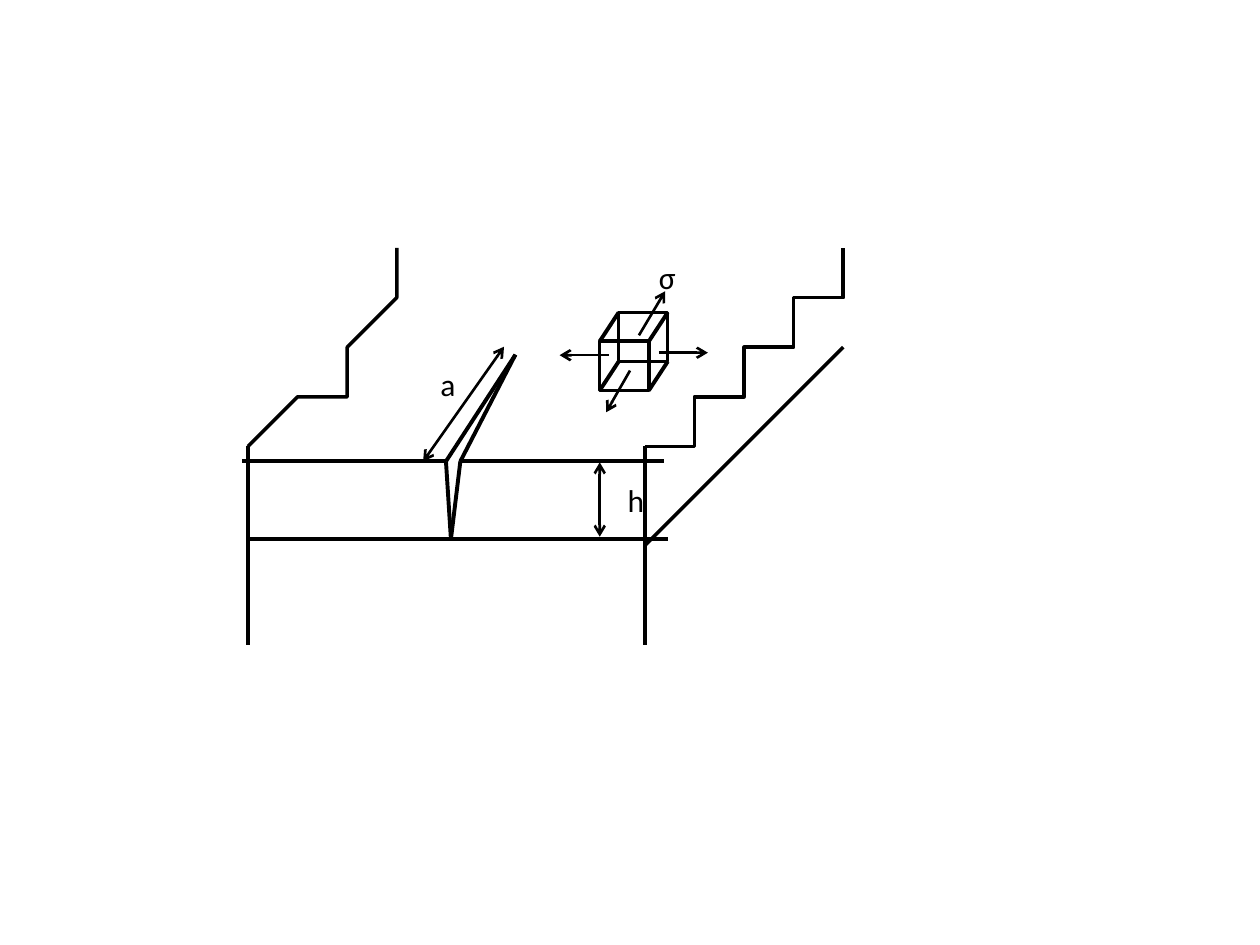
from dataclasses import dataclass

from lxml import etree
from pptx import Presentation
from pptx.dml.color import RGBColor
from pptx.enum.shapes import MSO_CONNECTOR, MSO_SHAPE
from pptx.enum.text import MSO_AUTO_SIZE, PP_ALIGN
from pptx.oxml.ns import qn
from pptx.util import Cm, Pt

STRAIGHT = MSO_CONNECTOR.STRAIGHT
RECTANGLE = MSO_SHAPE.RECTANGLE
CENTER = PP_ALIGN.CENTER
FIT_SHAPE = MSO_AUTO_SIZE.SHAPE_TO_FIT_TEXT
BLANK_LAYOUT = 6


@dataclass(frozen=True)
class Theme:
    """Colours, type and line widths of the slide."""
    ink: RGBColor = RGBColor(0, 0, 0)
    font: str = "Calibri"
    text_size: Pt = Pt(18)
    outline: Pt = Pt(2)
    edge: Pt = Pt(2.25)
    arrow: Pt = Pt(1.5)


THEME = Theme()

# Shared outline of the broken-off receding edges, in percent of width and height
ROUGH_PROFILE = [
    (9, 12), (13, 16), (15, 19), (18, 22), (18, 23), (22, 25), (23, 27),
    (27, 29), (30, 32), (35, 35), (38, 36), (42, 38), (46, 42), (49, 47),
    (51, 50), (54, 56), (57, 58), (60, 60), (65, 64), (70, 68), (74, 70),
    (78, 74), (80, 77), (84, 81), (88, 85), (91, 89), (94, 93), (97, 96),
    (99, 99), (100, 100),
]
ROUGH_HEIGHT = 4.01
# Start x, start y and width of each receding edge, in cm
RECEDING_EDGES = [(4.9, 9.28, 3.52), (13.39, 9.28, 3.33), (13.41, 10.9, 3.53)]

SIDE_EDGES = [
    [(4.9, 9.25), (4.9, 10.06), (4.93, 10.57), (4.98, 10.72), (5.02, 11),
     (5, 11.3), (4.93, 11.68), (4.95, 12.04), (4.9, 12.24), (4.88, 12.42),
     (4.88, 13), (4.85, 13.26)],
    [(13.39, 9.25), (13.41, 10.54), (13.44, 10.87), (13.44, 11.4),
     (13.44, 11.96), (13.39, 12.17), (13.36, 12.37), (13.34, 13),
     (13.32, 13.2), (13.39, 13.26)],
]

FILM_TOP, FILM_BOTTOM = 9.3, 10.87
CRACK_LEFT, CRACK_RIGHT = (8.99, FILM_TOP), (9.28, FILM_TOP)
CRACK_ROOT, CRACK_TIP = (9.09, FILM_BOTTOM), (10.39, 7.15)
FILM_EDGES = [
    ((4.88, FILM_TOP), CRACK_LEFT),
    (CRACK_RIGHT, (13.39, FILM_TOP)),
    ((4.98, FILM_BOTTOM), (13.46, FILM_BOTTOM)),
    (CRACK_ROOT, CRACK_LEFT),
    (CRACK_ROOT, CRACK_RIGHT),
    (CRACK_LEFT, CRACK_TIP),
    (CRACK_RIGHT, CRACK_TIP),
]

CUBE_FRONT, CUBE_BACK, CUBE_SIDE = (12.09, 6.88), (12.47, 6.3), 0.99

DIMENSIONS = [((8.53, 9.3), (10.16, 6.99)), ((12.09, 9.32), (12.09, 10.82))]
STRESSES = [
    ((13.28, 7.11), (14.27, 7.11)),
    ((12.27, 7.16), (11.28, 7.16)),
    ((12.88, 6.76), (13.41, 5.87)),
    ((12.7, 7.47), (12.22, 8.31)),
]
LABELS = [("a", 7.44, 7.24), ("h", 11.23, 9.58), ("σ", 11.86, 5.08)]


def apply_format(target, values):
    """Set each attribute named in values on target."""
    for name, value in values.items():
        setattr(target, name, value)


def format_line(line, width):
    """Give a line its width and the ink colour."""
    line.width = width
    line.color.rgb = THEME.ink


def format_outline(shape):
    """Leave a shape unfilled, with a plain outline and no shadow."""
    shape.shadow.inherit = False
    shape.fill.background()
    format_line(shape.line, THEME.outline)


def add_line(slide, start, end, width, arrow_ends=()):
    """Draw a straight line, with arrowheads at the named ends."""
    connector = slide.shapes.add_connector(
        STRAIGHT, *(Cm(value) for value in (*start, *end)))
    format_line(connector.line, width)
    line_element = connector.line._get_or_add_ln()
    for end_name in arrow_ends:
        etree.SubElement(line_element, qn(f"a:{end_name}"), type="arrow")
    etree.SubElement(connector._element.spPr, qn("a:effectLst"))


def add_path(slide, points):
    """Draw an open outline through points given in cm."""
    builder = slide.shapes.build_freeform(*points[0], scale=Cm(1))
    builder.add_line_segments(points[1:], close=False)
    format_outline(builder.convert_to_shape())


def add_receding_edge(slide, left, bottom, width):
    """Draw one broken-off edge rising to the right."""
    profile = [(0, 0), *ROUGH_PROFILE]
    add_path(slide, [(left + width * across / 100,
                      bottom - ROUGH_HEIGHT * up / 100)
                     for across, up in profile])


def add_cube(slide):
    """Draw the stress element: two faces joined at their corners."""
    for left, top in (CUBE_BACK, CUBE_FRONT):
        face = slide.shapes.add_shape(
            RECTANGLE, Cm(left), Cm(top), Cm(CUBE_SIDE), Cm(CUBE_SIDE))
        format_outline(face)
    for across in (0, CUBE_SIDE):
        for down in (0, CUBE_SIDE):
            front, back = ((left + across, top + down)
                           for left, top in (CUBE_FRONT, CUBE_BACK))
            add_line(slide, front, back, THEME.edge)


def add_label(slide, text, left, top):
    """Place a centred one-letter label."""
    box = slide.shapes.add_textbox(Cm(left), Cm(top), Cm(3.18), Cm(1.02))
    apply_format(box.text_frame, {"word_wrap": True, "auto_size": FIT_SHAPE})
    paragraph = box.text_frame.paragraphs[0]
    paragraph.alignment = CENTER
    run = paragraph.add_run()
    run.text = text
    apply_format(run.font, {"name": THEME.font, "size": THEME.text_size})
    run.font.color.rgb = THEME.ink


def main():
    """Build the cracked-film diagram and save it."""
    presentation = Presentation()
    apply_format(presentation,
                 {"slide_width": Cm(25.4), "slide_height": Cm(19.05)})
    slide = presentation.slides.add_slide(
        presentation.slide_layouts[BLANK_LAYOUT])
    for edge in RECEDING_EDGES:
        add_receding_edge(slide, *edge)
    for points in SIDE_EDGES:
        add_path(slide, points)
    for start, end in FILM_EDGES:
        add_line(slide, start, end, THEME.edge)
    add_cube(slide)
    for start, end in DIMENSIONS:
        add_line(slide, start, end, THEME.arrow, ("headEnd", "tailEnd"))
    for start, end in STRESSES:
        add_line(slide, start, end, THEME.arrow, ("tailEnd",))
    for label in LABELS:
        add_label(slide, *label)
    presentation.save("out.pptx")


main()
